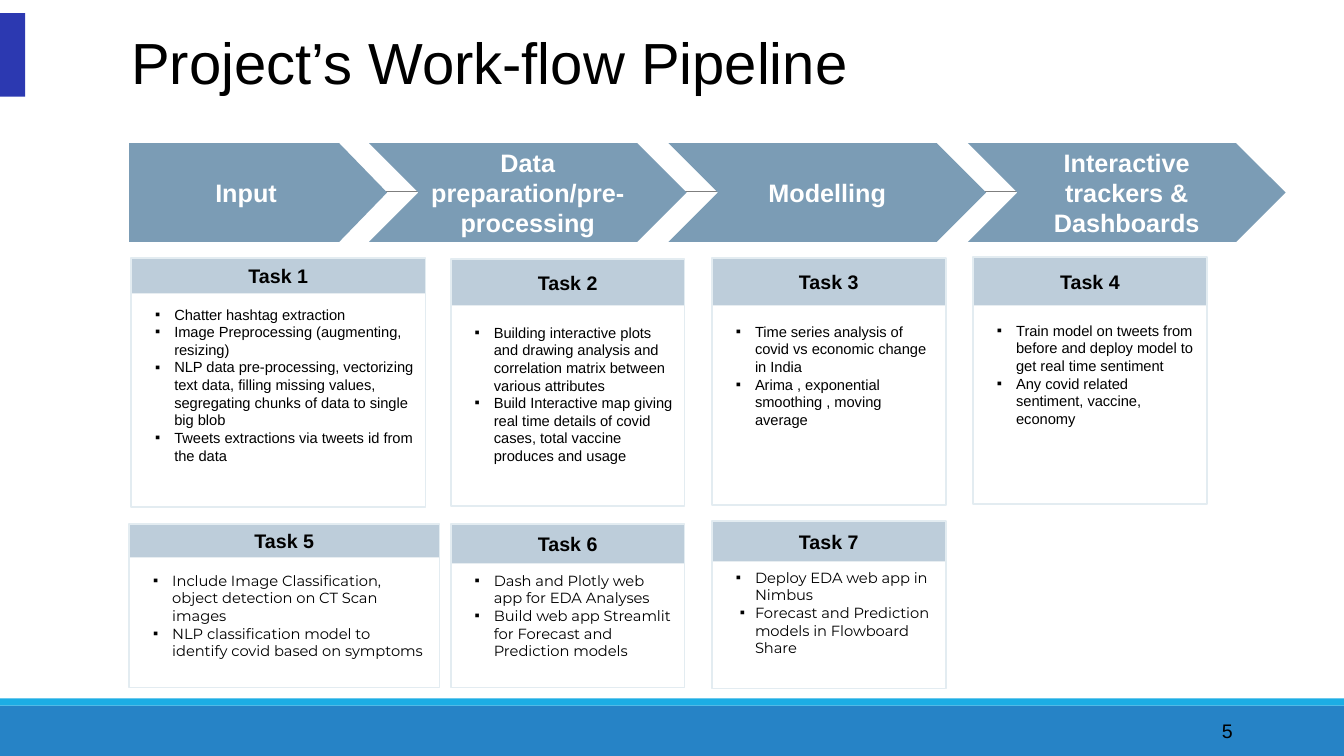
from lxml import etree
from pptx import Presentation
from pptx.dml.color import RGBColor
from pptx.enum.shapes import MSO_CONNECTOR, MSO_SHAPE
from pptx.enum.text import MSO_ANCHOR, MSO_AUTO_SIZE, PP_ALIGN
from pptx.oxml.ns import qn
from pptx.util import Inches, Pt

RECTANGLE = MSO_SHAPE.RECTANGLE
PENTAGON, CHEVRON = MSO_SHAPE.PENTAGON, MSO_SHAPE.CHEVRON
STRAIGHT = MSO_CONNECTOR.STRAIGHT
TOP, MIDDLE, BOTTOM = MSO_ANCHOR.TOP, MSO_ANCHOR.MIDDLE, MSO_ANCHOR.BOTTOM
LEFT, CENTER = PP_ALIGN.LEFT, PP_ALIGN.CENTER

WIDTH, HEIGHT = 13.33, 7.5
FOOTER_TOP = 7
BLACK, WHITE = "000000", "FFFFFF"
STEEL, PALE_STEEL, FRAME = "7B9CB5", "BDCDDA", "E3ECF1"

COLUMN_LEFT, COLUMN_PITCH, COLUMN_WIDTH = 4.47, 2.59, 2.32
TASK_2_LEFT, TASK_3_LEFT, TASK_4_LEFT = (
    COLUMN_LEFT + COLUMN_PITCH * column for column in range(3))
ONE_LINE = 0.17

STAGES = ["Input", "Data preparation/pre-processing", "Modelling",
          "Interactive trackers & Dashboards"]

TASKS = [
    ("Task 1", (1.3, 2.56, 2.92, 2.47), 0.35, {}, [
        "Chatter hashtag extraction",
        "Image Preprocessing (augmenting, resizing)",
        "NLP data pre-processing, vectorizing text data, filling missing "
        "values, segregating chunks of data to single big blob",
        "Tweets extractions via tweets id from the data"]),
    ("Task 2", (TASK_2_LEFT, 2.57, COLUMN_WIDTH, 2.45), 0.46, {"drop": ONE_LINE}, [
        "Building interactive plots and drawing analysis and correlation "
        "matrix between various attributes",
        "Build Interactive map giving real time details of covid cases, "
        "total vaccine produces and usage"]),
    ("Task 3", (TASK_3_LEFT, 2.56, COLUMN_WIDTH, 2.45), 0.47, {"drop": ONE_LINE}, [
        "Time series analysis of covid vs economic change in India",
        "Arima , exponential smoothing , moving average"]),
    ("Task 4", (TASK_4_LEFT, 2.55, COLUMN_WIDTH, 2.45), 0.48, {"drop": ONE_LINE}, [
        "Train model on tweets from before and deploy model to get real "
        "time sentiment",
        "Any covid related sentiment, vaccine, economy"]),
    ("Task 5", (1.28, 5.2, 3.08, 1.62), 0.33, {"font": "Montserrat"}, [
        "Include Image Classification, object detection on CT Scan images",
        "NLP classification model to identify covid based on symptoms"]),
    ("Task 6", (TASK_2_LEFT, 5.2, COLUMN_WIDTH, 1.62), 0.39, {"font": "Montserrat"}, [
        "Dash and Plotly web app for EDA Analyses",
        "Build web app Streamlit for Forecast and Prediction models"]),
    ("Task 7", (TASK_3_LEFT, 5.17, COLUMN_WIDTH, 1.66), 0.4,
     {"font": "Montserrat", "last_hang": 0.15}, [
        "Deploy EDA web app in Nimbus",
        "Forecast and Prediction models in Flowboard Share"]),
]


def color(value):
    return RGBColor.from_string(value)


def add_bullet(paragraph, hang):
    properties = paragraph._p.get_or_add_pPr()
    properties.set("marL", str(Inches(0.33)))
    properties.set("indent", str(-Inches(hang)))
    bullet_color = etree.SubElement(properties, qn("a:buClr"))
    etree.SubElement(bullet_color, qn("a:srgbClr"), val=BLACK)
    etree.SubElement(properties, qn("a:buFont"), typeface="Arial")
    etree.SubElement(properties, qn("a:buChar"), char="▪")


def write_text(shape, lines, size=14, font="Arial", fill=BLACK, bold=False,
               align=LEFT, anchor=MIDDLE, top=0.05, spacing=None, hangs=None):
    frame = shape.text_frame
    frame.auto_size = MSO_AUTO_SIZE.NONE
    frame.word_wrap = True
    frame.vertical_anchor = anchor
    frame.margin_left = frame.margin_right = Inches(0.1)
    frame.margin_top, frame.margin_bottom = Inches(top), Inches(0.05)
    frame.text = "\n".join(lines)
    for index, paragraph in enumerate(frame.paragraphs):
        if hangs:
            add_bullet(paragraph, hangs[index])
        paragraph.alignment = align
        paragraph.line_spacing = spacing
        paragraph.font.size = Pt(size)
        paragraph.font.name = font
        paragraph.font.bold = bold
        paragraph.font.color.rgb = color(fill)


def add_panel(slide, box, fill=None, line=None, kind=RECTANGLE):
    shape = slide.shapes.add_shape(kind, *map(Inches, box))
    shape.shadow.inherit = False
    if fill:
        shape.fill.solid()
        shape.fill.fore_color.rgb = color(fill)
    else:
        shape.fill.background()
    if line:
        shape.line.color.rgb = color(line)
        shape.line.width = Pt(1.25)
    else:
        shape.line.fill.background()
    return shape


def add_title(slide, box, text):
    title = slide.shapes.title
    title.left, title.top, title.width, title.height = map(Inches, box)
    write_text(title, [text], size=41.4, anchor=BOTTOM, spacing=0.9)
    add_panel(slide, (0, 0.13, 0.25, 0.83), "2C39B1")


def add_footer(slide, box, number):
    left, top, width, height = box
    add_panel(slide, box, "2683C6")
    add_panel(slide, (left, top - 0.07, width, 0.07), "1CADE4")
    number_box = slide.shapes.add_textbox(
        *map(Inches, (width - 1.31, top + 0.05, 0.85, 0.4)))
    write_text(number_box, [number])


def add_pipeline(slide, box):
    left, top, width, height = box
    middle = top + 0.48
    rule = slide.shapes.add_connector(
        STRAIGHT, *map(Inches, (left + 0.03, middle, left + 10.93, middle)))
    rule.line.color.rgb = color("7F7F7F")
    rule.line.width = Pt(0.75)
    etree.SubElement(rule._element.spPr, qn("a:effectLst"))
    pitch, chevron_width = 2.97, 3.15
    first_chevron = left + width - chevron_width - 2 * pitch
    for index, stage in enumerate(STAGES):
        if index == 0:
            kind, adjustment = PENTAGON, 0.485
            stage_box = (left, top, 2.56, height)
        else:
            kind, adjustment = CHEVRON, 0.5
            stage_box = (first_chevron + (index - 1) * pitch, top,
                         chevron_width, height)
        arrow = add_panel(slide, stage_box, STEEL, kind=kind)
        arrow.adjustments[0] = adjustment
        write_text(arrow, [stage], size=18, fill=WHITE, bold=True, align=CENTER)


def add_task(slide, box, name, header_height, items,
             font="Arial", drop=0, last_hang=0.19):
    left, top, width, height = box
    header = add_panel(slide, (left, top, width, header_height), PALE_STEEL)
    write_text(header, [name], bold=True, align=CENTER)
    card = add_panel(slide, box, line=FRAME)
    hangs = [0.19] * (len(items) - 1) + [last_hang]
    write_text(card, items, size=10.5, font=font, anchor=TOP,
               top=0.47 + drop, hangs=hangs)


def main():
    presentation = Presentation()
    presentation.slide_width = Inches(WIDTH)
    presentation.slide_height = Inches(HEIGHT)
    slide = presentation.slides.add_slide(presentation.slide_layouts[5])
    add_footer(slide, (0, FOOTER_TOP, WIDTH, HEIGHT - FOOTER_TOP), "5")
    add_title(slide, (1.2, 0.23, 11, 0.78), "Project’s Work-flow Pipeline")
    add_pipeline(slide, (1.28, 1.42, 11.47, 0.98))
    for name, box, header_height, options, items in TASKS:
        add_task(slide, box, name, header_height, items, **options)
    presentation.save("out.pptx")


if __name__ == "__main__":
    main()
